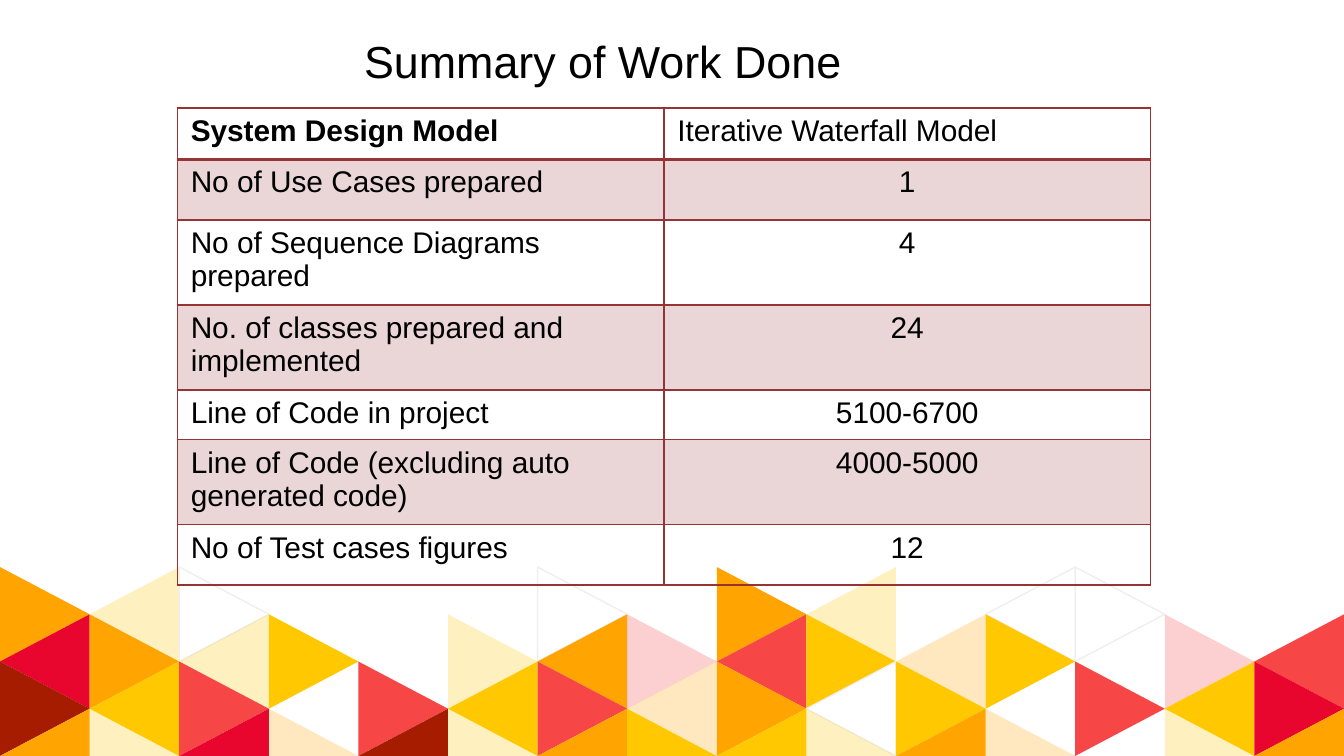
from dataclasses import dataclass

from lxml import etree
from pptx import Presentation
from pptx.dml.color import RGBColor
from pptx.enum.text import PP_ALIGN
from pptx.oxml import parse_xml
from pptx.oxml.ns import nsdecls, qn
from pptx.util import Pt

LEFT, MID = PP_ALIGN.LEFT, PP_ALIGN.CENTER


@dataclass(frozen=True)
class Theme:
    """Colours, font and type sizes of the slide."""
    font: str = "Arial"
    title: float = 24
    body: float = 16
    ink: str = "000000"
    rule: str = "963334"
    band: int = 20
    pale: int = 25
    white: str = "FFFFFF"
    edge: str = "EFEFEF"
    tiles: tuple = (("O", "FFA400"), ("Y", "FFC800"), ("R", "F64646"),
                    ("C", "E8062F"), ("D", "A61C00"))


THEME = Theme()
TILES = ("OyW...W.Oy.WW..",
         "COyY.yOrRYoY.rR",
         "DYR.RYRoOWY.RYC",
         "OyCoDyOYYyOo.yO")
TILE_W, TILE_H, TILE_TOP = 48, 25.3, 303.8
ROWS = (("System Design Model", "Iterative Waterfall Model", 27.4),
        ("No of Use Cases prepared", "1", 32.4),
        ("No of Sequence Diagrams prepared", "4", 40.3),
        ("No. of classes prepared and implemented", "24", 42.5),
        ("Line of Code in project", "5100-6700", 24.5),
        ("Line of Code (excluding auto generated code)", "4000-5000", 42.5),
        ("No of Test cases figures", "12", 32.4))


def tint(fill, props, color, alpha=100):
    """Fill with a solid colour at the given opacity in percent."""
    fill.solid()
    fill.fore_color.rgb = RGBColor.from_string(color)
    if alpha < 100:
        node = props.find(qn("a:solidFill")).find(qn("a:srgbClr"))
        etree.SubElement(node, qn("a:alpha"), val=str(alpha * 1000))


def write(frame, text, size=THEME.body, bold=False, align=LEFT):
    """Write one formatted paragraph into a text frame."""
    para = frame.paragraphs[0]
    para.alignment = align
    run = para.add_run()
    run.text = text
    run.font.name, run.font.size, run.font.bold = THEME.font, Pt(size), bold
    run.font.color.rgb = RGBColor.from_string(THEME.ink)


def add_tile(slide, col, row, code):
    """Draw one triangle, pointing right where col + row is even."""
    base, tip = (col, col + 1) if (col + row) % 2 == 0 else (col + 1, col)
    spots = [(base, row), (tip, row + 1)]
    spots += [(base, row + 2)] if row < 3 else [(base, row + 1)]
    points = [(Pt(x * TILE_W), Pt(TILE_TOP + y * TILE_H)) for x, y in spots]
    path = slide.shapes.build_freeform(*points[0])
    path.add_line_segments(points[1:], close=True)
    tile = path.convert_to_shape()
    tile.shadow.inherit = False
    color = dict(THEME.tiles).get(code.upper(), THEME.white)
    alpha = THEME.pale if code.islower() else 100
    tint(tile.fill, tile._element.spPr, color, alpha)
    if code == "W":
        tile.line.color.rgb = RGBColor.from_string(THEME.edge)
        tile.line.width = Pt(0.75)
    else:
        tile.line.fill.background()


def add_tiles(slide):
    """Draw the band of triangles along the foot."""
    for row, codes in enumerate(TILES):
        for col, code in enumerate(codes):
            if code != ".":
                add_tile(slide, col, row, code)


def add_title(slide, text):
    """Add the slide title."""
    box = slide.shapes.add_textbox(Pt(188), Pt(14.4), Pt(376), Pt(36))
    box.text_frame.word_wrap = True
    write(box.text_frame, text, size=THEME.title)


def rule(props, top, low):
    """Put the four border lines on a cell."""
    sides = (("L", 1), ("R", 1), ("T", top), ("B", low))
    for spot, (side, width) in enumerate(sides):
        props.insert(spot, parse_xml(
            f'<a:ln{side} {nsdecls("a")} w="{Pt(width)}"><a:solidFill>'
            f'<a:srgbClr val="{THEME.rule}"/></a:solidFill></a:ln{side}>'))


def add_grid(slide):
    """Add the summary table."""
    high = sum(row[-1] for row in ROWS)
    grid = slide.shapes.add_table(
        len(ROWS), 2, Pt(95), Pt(58), Pt(521.4), Pt(high)).table
    grid.first_row = grid.horz_banding = False
    for row, (*texts, tall) in enumerate(ROWS):
        grid.rows[row].height = Pt(tall)
        for col, text in enumerate(texts):
            cell = grid.cell(row, col)
            write(cell.text_frame, text, bold=row + col == 0,
                  align=MID if row and col else LEFT)
            props = cell._tc.get_or_add_tcPr()
            if row % 2:
                tint(cell.fill, props, THEME.rule, THEME.band)
            else:
                cell.fill.background()
            rule(props, 2 if row == 1 else 1, 2 if row == 0 else 1)


def main():
    """Build and save the slide."""
    deck = Presentation()
    deck.slide_width, deck.slide_height = Pt(720), Pt(405)
    slide = deck.slides.add_slide(deck.slide_layouts[6])
    add_tiles(slide)
    add_title(slide, "Summary of Work Done")
    add_grid(slide)
    deck.save("out.pptx")


if __name__ == "__main__":
    main()
